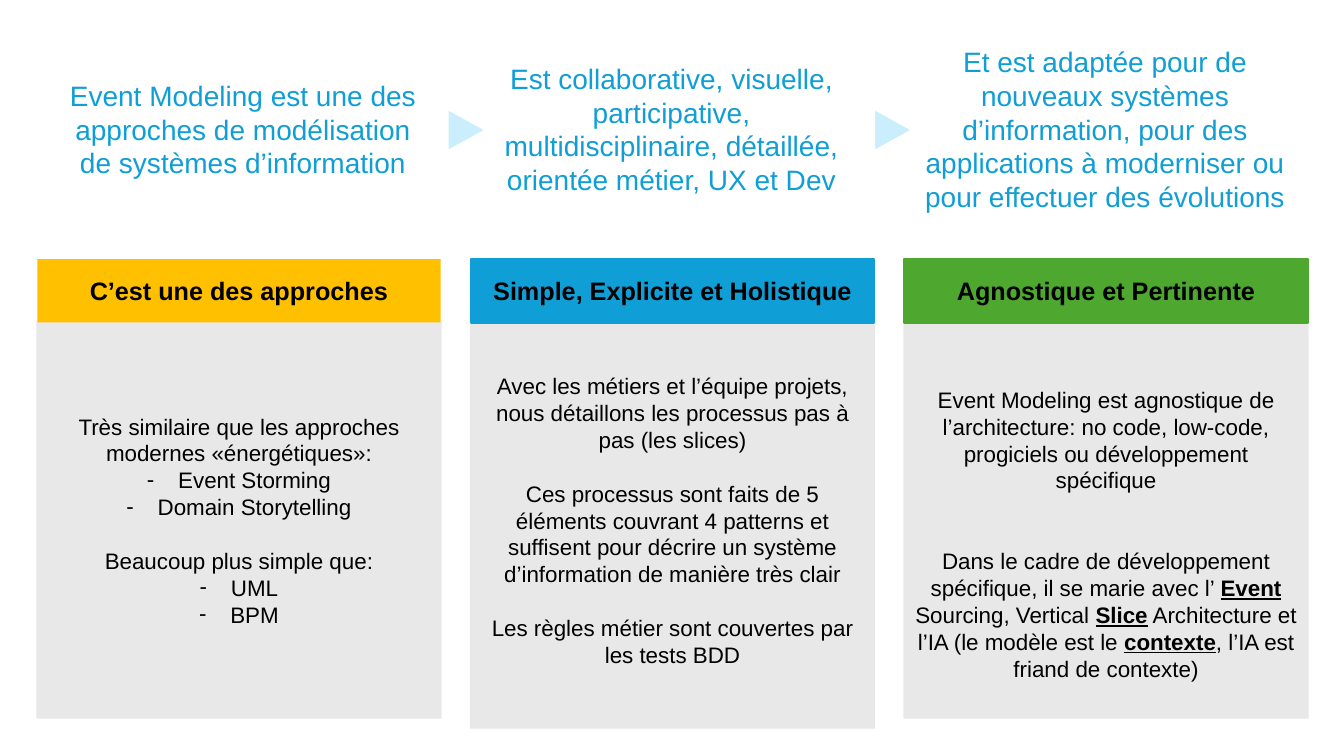
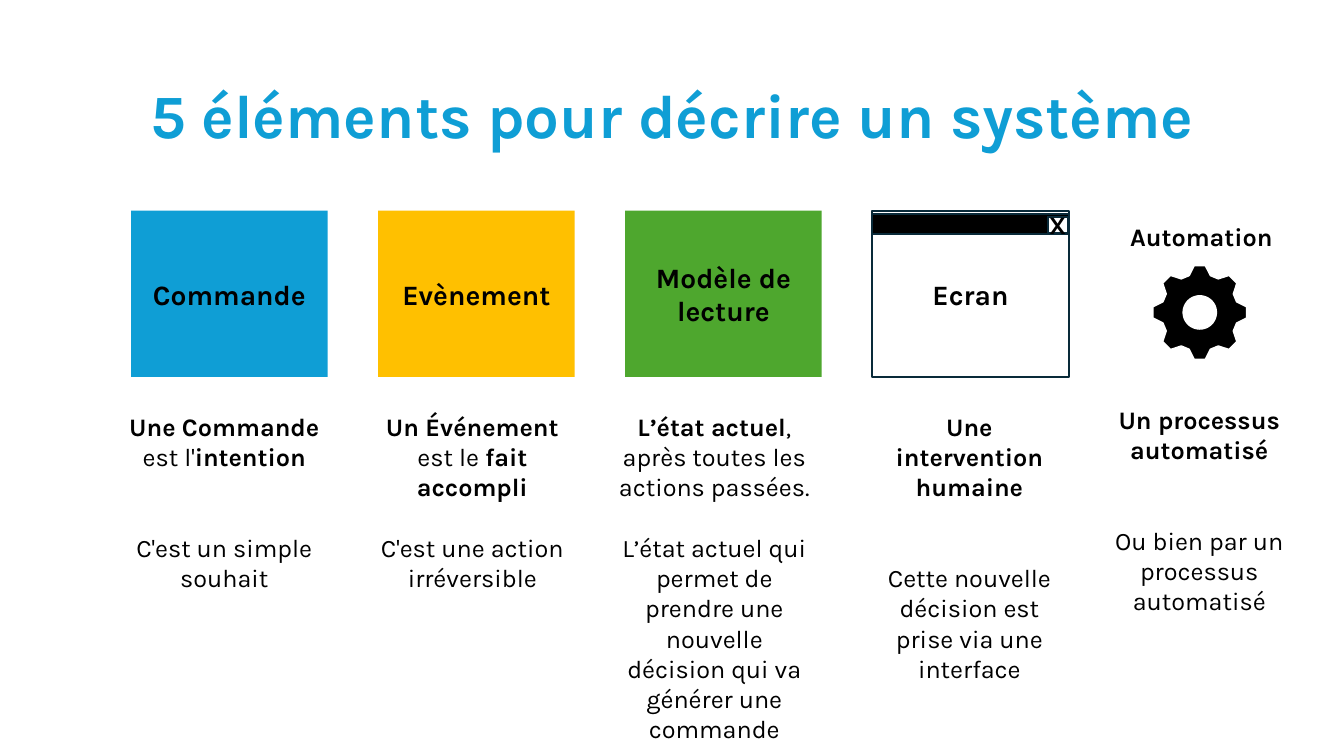
from dataclasses import dataclass
from math import cos, pi, sin

from lxml.etree import SubElement
from pptx import Presentation
from pptx.dml.color import RGBColor
from pptx.enum.shapes import MSO_SHAPE
from pptx.enum.text import MSO_ANCHOR, PP_ALIGN
from pptx.oxml.ns import qn
from pptx.util import Emu, Inches, Pt

COLORS = {
    "blue": "0F9ED5", "pale_blue": "CAEEFB", "yellow": "FFC000", "green": "4EA72E",
    "grey": "E8E8E8", "ink": "092A39", "black": "000000", "white": "FFFFFF",
}
SLIDE_WIDTH, SLIDE_HEIGHT = 13.33, 7.5
LINE_PITCH = 1.2  # height of a text line, as a share of the font size
OUTLINE = 1.5

# Column grids: first left edge and step, in inches
CARD_LEFT, CARD_STEP, CARD_WIDTH = 0.37, 4.3, 4.0
ARROW_LEFT, ARROW_STEP = 4.42, 4.23
TILE_LEFT, TILE_STEP, TILE_WIDTH = 1.3, 2.45, 1.95
TILE_TOP, TILE_HEIGHT = 2.09, 1.65


@dataclass(frozen=True)
class Style:
    font: str
    size: int
    color: str = "black"
    bold: bool = False
    align: PP_ALIGN = PP_ALIGN.CENTER
    spacing: float | None = None


@dataclass(frozen=True)
class Run:
    text: str
    bold: bool = False
    underline: bool = False


@dataclass(frozen=True)
class Para:
    runs: tuple[Run, ...]
    gap: int = 0  # free lines above
    dash: bool = False


@dataclass(frozen=True)
class Box:
    left: float
    top: float
    width: float
    height: float


@dataclass(frozen=True)
class Card:
    intro: tuple[Para, ...]
    heading: str
    color: str
    body: tuple[Para, ...]
    outline: str | None = None
    intro_shift: float = 0
    extra_height: float = 0
    top_inset: float = 0.05


@dataclass(frozen=True)
class Element:
    label: str
    color: str | None
    description: tuple[Para, ...]
    shift: float  # description's left edge, relative to the tile
    outline: str | None = None
    top: float = 4.03


INTRO = Style("Arial", 20, "blue")
HEADING = Style("Arial", 18, bold=True)
BODY = Style("Arial", 16)
TITLE = Style("Karla", 44, "blue", bold=True, spacing=0.9)
TILE = Style("Karla", 20, bold=True)
DESCRIPTION = Style("Karla", 18)
CLOSE_MARK = Style("Karla", 18, bold=True)
AUTOMATION = Style("Karla", 18, bold=True, align=PP_ALIGN.LEFT)


def plain(text: str, gap: int = 0, dash: bool = False) -> Para:
    return Para((Run(text),), gap, dash)


def strong(text: str) -> Run:
    return Run(text, bold=True)


def key(text: str) -> Run:
    return Run(text, bold=True, underline=True)


CARDS = (
    Card(
        (plain("Event Modeling est une des approches de modélisation de systèmes d’information"),),
        "C’est une des approches", "yellow",
        (
            plain("Très similaire que les approches modernes «énergétiques»:"),
            plain("Event Storming", dash=True),
            plain("Domain Storytelling", dash=True),
            plain("Beaucoup plus simple que:", gap=1),
            plain("UML", dash=True),
            plain("BPM", dash=True),
        ),
        intro_shift=0.05,
    ),
    Card(
        (plain("Est collaborative, visuelle, participative, multidisciplinaire, détaillée, "
               "orientée métier, UX et Dev"),),
        "Simple, Explicite et Holistique", "blue",
        (
            plain("Avec les métiers et l’équipe projets, nous détaillons les processus "
                  "pas à pas (les slices)"),
            plain("Ces processus sont faits de 5 éléments couvrant 4 patterns et suffisent "
                  "pour décrire un système d’information de manière très clair", gap=1),
            plain("Les règles métier sont couvertes par les tests BDD", gap=1),
        ),
        outline="blue", extra_height=0.1,
    ),
    Card(
        (
            plain("Et est adaptée pour de nouveaux systèmes d’information, pour des "
                  "applications à moderniser ou"),
            plain("pour effectuer des évolutions"),
        ),
        "Agnostique et Pertinente", "green",
        (
            plain("Event Modeling est agnostique de l’architecture: no code, low-code, "
                  "progiciels ou développement spécifique"),
            Para((
                Run("Dans le cadre de développement spécifique, il se marie avec l’ "),
                key("Event"), Run(" Sourcing, Vertical "),
                key("Slice"), Run(" Architecture et l’IA (le modèle est le "),
                key("contexte"), Run(", l’IA est friand de contexte)"),
            ), gap=2),
        ),
        outline="green", top_inset=0.32,
    ),
)

ELEMENTS = (
    Element("Commande", "blue", (
        Para((strong("Une Commande"), Run(" est l'"), strong("intention"))),
        plain("C'est un simple souhait", gap=2),
    ), -0.14),
    Element("Evènement", "yellow", (
        Para((strong("Un Événement"),)),
        Para((Run("est le "), strong("fait accompli"))),
        plain("C'est une action irréversible", gap=1),
    ), -0.13),
    Element("Modèle de lecture", "green", (
        Para((strong("L’état actuel"), Run(", après toutes les actions passées."))),
        plain("L’état actuel qui permet de prendre une nouvelle décision qui va générer "
              "une commande", gap=1),
    ), -0.18),
    Element("Ecran", "white", (
        Para((strong("Une intervention humaine"),)),
        plain("Cette nouvelle décision est prise via une interface", gap=2),
    ), -0.1, outline="ink"),
    Element("Automation", None, (
        Para((strong("Un processus automatisé"),)),
        plain("Ou bien par un processus automatisé", gap=2),
    ), -0.27, top=3.96),
)


def rgb(name: str) -> RGBColor:
    return RGBColor.from_string(COLORS[name])


def paint(shape, fill: str, outline: str | None = None, weight: float = OUTLINE) -> None:
    shape.shadow.inherit = False
    shape.fill.solid()
    shape.fill.fore_color.rgb = rgb(fill)
    if outline:
        shape.line.color.rgb = rgb(outline)
        shape.line.width = Pt(weight)
    else:
        shape.line.fill.background()


def add_dash(paragraph) -> None:
    properties = paragraph._p.get_or_add_pPr()
    properties.set("marL", str(Inches(0.31)))
    properties.set("indent", str(-Inches(0.31)))
    SubElement(properties, qn("a:buFont"), typeface="Arial")
    SubElement(properties, qn("a:buChar"), char="-")


def write(frame, paras: tuple[Para, ...], style: Style) -> None:
    frame.word_wrap = True
    for index, para in enumerate(paras):
        paragraph = frame.add_paragraph() if index else frame.paragraphs[0]
        paragraph.alignment = style.align
        if style.spacing:
            paragraph.line_spacing = style.spacing
        if para.gap:
            paragraph.space_before = Pt(round(para.gap * style.size * LINE_PITCH, 1))
        if para.dash:
            add_dash(paragraph)
        for part in para.runs:
            run = paragraph.add_run()
            run.text = part.text
            run.font.name = style.font
            run.font.size = Pt(style.size)
            run.font.color.rgb = rgb(style.color)
            run.font.bold = style.bold or part.bold
            run.font.underline = part.underline


def inches(box: Box) -> tuple[Emu, ...]:
    return tuple(Inches(length) for length in (box.left, box.top, box.width, box.height))


def add_block(slide, box: Box, fill: str, outline: str | None = None,
              paras: tuple[Para, ...] = (), style: Style = BODY, kind=MSO_SHAPE.RECTANGLE):
    block = slide.shapes.add_shape(kind, *inches(box))
    paint(block, fill, outline)
    if paras:
        block.text_frame.vertical_anchor = MSO_ANCHOR.MIDDLE
        write(block.text_frame, paras, style)
    return block


def add_text(slide, box: Box, paras: tuple[Para, ...], style: Style,
             anchor: MSO_ANCHOR = MSO_ANCHOR.TOP) -> None:
    frame = slide.shapes.add_textbox(*inches(box)).text_frame
    frame.vertical_anchor = anchor
    write(frame, paras, style)


def add_card(slide, column: int, card: Card) -> None:
    left = CARD_LEFT + column * CARD_STEP
    add_block(slide, Box(left + card.intro_shift, 0.28, 3.98, 2), "white", "white",
              card.intro, INTRO, MSO_SHAPE.ROUNDED_RECTANGLE)
    body = add_block(
        slide, Box(left - 0.01, 3.19 - card.extra_height, 4.02, 3.94 + 2 * card.extra_height),
        "grey", paras=card.body)
    body.text_frame.margin_top = Inches(card.top_inset)
    add_block(slide, Box(left, 2.57, CARD_WIDTH, 0.63), card.color, card.outline,
              (plain(card.heading),), HEADING)


def add_window_bar(slide, left: float) -> None:
    add_block(slide, Box(left, 2.12, TILE_WIDTH, 0.2), "black", "ink")
    close = add_block(slide, Box(left + TILE_WIDTH - 0.21, 2.15, 0.2, 0.16), "white", "ink",
                      (plain("X"),), CLOSE_MARK)
    frame = close.text_frame
    frame.margin_left = frame.margin_right = frame.margin_top = frame.margin_bottom = 0
    frame.word_wrap = False


def add_gear(slide, center_x: float, center_y: float) -> None:
    tooth = ((-0.105, 0.365), (-0.055, 0.465), (0.055, 0.465), (0.105, 0.365))
    teeth, hole_radius, hole_steps = 8, 0.165, 48

    def place(across: float, along: float, angle: float) -> tuple[int, int]:
        x = center_x + across * cos(angle) + along * sin(angle)
        y = center_y + across * sin(angle) - along * cos(angle)
        return Inches(x), Inches(y)

    rim = [place(*point, 2 * pi * n / teeth) for n in range(teeth) for point in tooth]
    hole = [place(0, hole_radius, -2 * pi * n / hole_steps) for n in range(hole_steps)]
    builder = slide.shapes.build_freeform(*rim[0])
    builder.add_line_segments(rim[1:], close=True)
    builder.move_to(*hole[0])
    builder.add_line_segments(hole[1:], close=True)
    paint(builder.convert_to_shape(), "black", "white", 0.98)


def add_element(slide, column: int, element: Element) -> None:
    left = TILE_LEFT + column * TILE_STEP
    label = (plain(element.label),)
    if element.color:
        add_block(slide, Box(left, TILE_TOP, TILE_WIDTH, TILE_HEIGHT), element.color,
                  element.outline, label, TILE)
    else:
        add_text(slide, Box(left + 0.01, 2.15, 1.73, 0.4), label, AUTOMATION)
        add_gear(slide, left + 0.8, 3.1)
    if element.outline:
        add_window_bar(slide, left)
    add_text(slide, Box(left + element.shift, element.top, 2.13, 2.22),
             element.description, DESCRIPTION)


def build_approach(slide) -> None:
    for column, card in enumerate(CARDS):
        add_card(slide, column, card)
    # Arrows between the introductions
    for gap in range(len(CARDS) - 1):
        arrow = add_block(slide, Box(ARROW_LEFT + gap * ARROW_STEP, 1.1, 0.42, 0.38),
                          "pale_blue", "white", kind=MSO_SHAPE.ISOSCELES_TRIANGLE)
        arrow.rotation = 90


def build_elements(slide) -> None:
    add_text(slide, Box(0.11, 0.45, 13.12, 1.45),
             (plain("5 éléments pour décrire un système"),), TITLE, MSO_ANCHOR.MIDDLE)
    for column, element in enumerate(ELEMENTS):
        add_element(slide, column, element)


def main() -> None:
    deck = Presentation()
    deck.slide_width, deck.slide_height = Inches(SLIDE_WIDTH), Inches(SLIDE_HEIGHT)
    for build in (build_approach, build_elements):
        build(deck.slides.add_slide(deck.slide_layouts[6]))
    deck.save("out.pptx")


if __name__ == "__main__":
    main()
